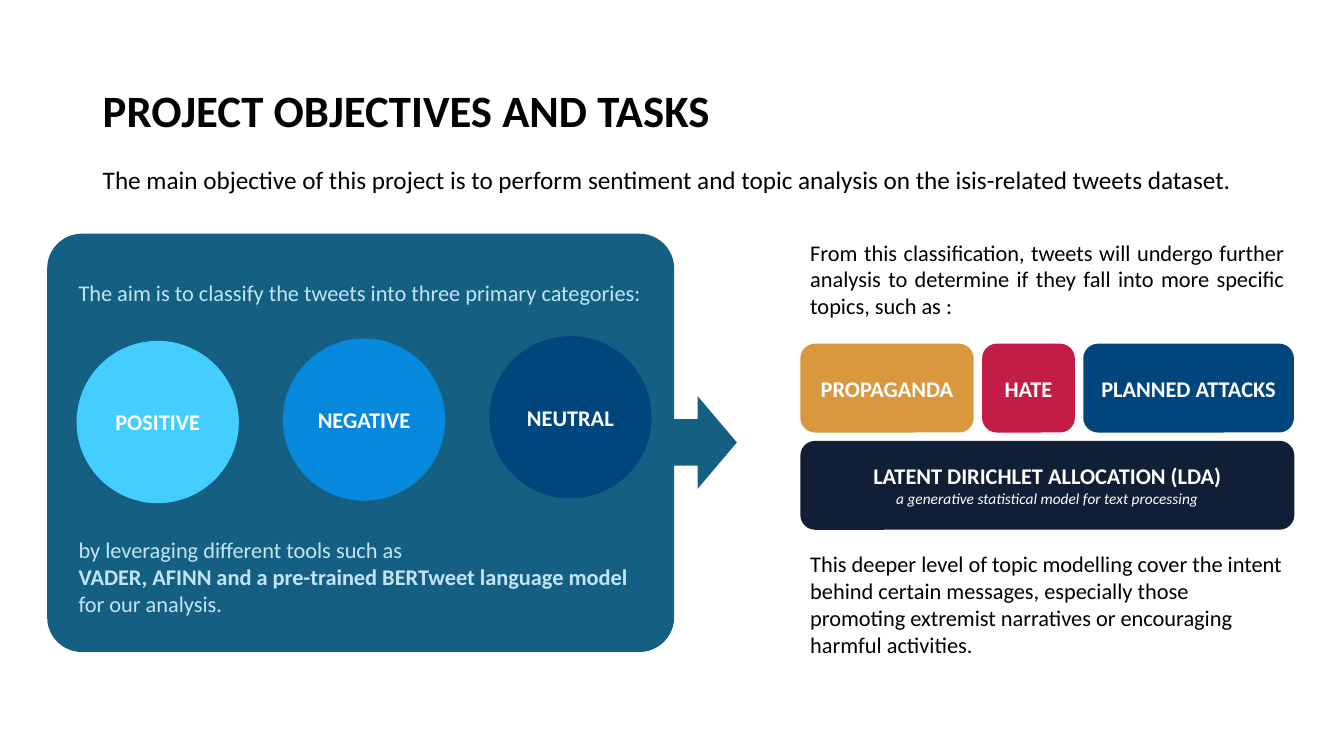
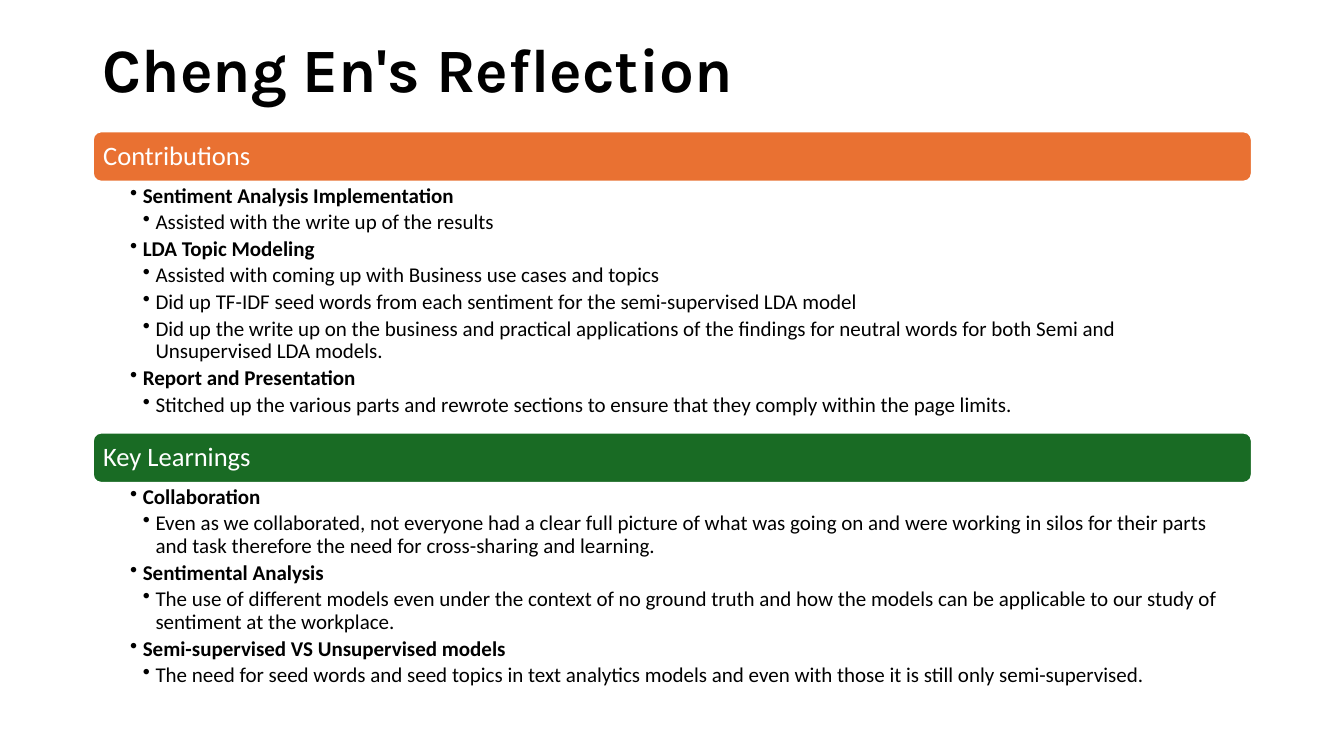
from lxml.etree import SubElement
from pptx import Presentation
from pptx.dml.color import RGBColor
from pptx.enum.shapes import MSO_SHAPE
from pptx.enum.text import MSO_ANCHOR, PP_ALIGN
from pptx.oxml.ns import qn
from pptx.util import Cm, Pt

COLORS = {
    "black": "000000",
    "white": "FFFFFF",
    "teal": "156082",
    "pale_blue": "C1E5F5",
    "sky": "44CEFF",
    "blue": "0688DC",
    "navy": "00467D",
    "ochre": "D9983E",
    "crimson": "C31C47",
    "midnight": "101F36",
    "orange": "E97132",
    "green": "196B24",
}
BODY_FONT = "Calibri"
MARGIN = 2.34
CONTENT_WIDTH = 29.21
BULLET_INDENT = 0.32
BAND_HEIGHT = 1.27

CATEGORIES = [("POSITIVE", "sky"), ("NEGATIVE", "blue"), ("NEUTRAL", "navy")]
TOPICS = [
    ("PROPAGANDA", "ochre", 4.37),
    ("HATE", "crimson", 2.34),
    ("PLANNED ATTACKS", "navy", 5.31),
]
CONTRIBUTIONS = [
    ("Sentiment Analysis Implementation", ["Assisted with the write up of the results"]),
    ("LDA Topic Modeling", [
        "Assisted with coming up with Business use cases and topics",
        "Did up TF-IDF seed words from each sentiment for the semi-supervised LDA model",
        "Did up the write up on the business and practical applications of the findings "
        "for neutral words for both Semi and Unsupervised LDA models.",
    ]),
    ("Report and Presentation", [
        "Stitched up the various parts and rewrote sections to ensure that they comply "
        "within the page limits.",
    ]),
]
LEARNINGS = [
    ("Collaboration", [
        "Even as we collaborated, not everyone had a clear full picture of what was going "
        "on and were working in silos for their parts and task therefore the need for "
        "cross-sharing and learning.",
    ]),
    ("Sentimental Analysis", [
        "The use of different models even under the context of no ground truth and how "
        "the models can be applicable to our study of sentiment at the workplace.",
    ]),
    ("Semi-supervised VS Unsupervised models", [
        "The need for seed words and seed topics in text analytics models and even with "
        "those it is still only semi-supervised.",
    ]),
]


def rgb(name):
    return RGBColor.from_string(COLORS[name])


def set_bullet(para, level):
    para.level = level
    properties = para._p.get_or_add_pPr()
    properties.set("marL", str(int(Cm(BULLET_INDENT * level))))
    properties.set("indent", str(-int(Cm(BULLET_INDENT))))
    SubElement(properties, qn("a:buChar"), char="•")


def add_text(box, text, *, size=16, color="black", font=BODY_FONT, bold=False,
             italic=False, align=PP_ALIGN.LEFT, line_spacing=None, after=0,
             level=0, same_para=False):
    """Add a paragraph, or with same_para a new line of the last paragraph."""
    frame = box.text_frame
    para = frame.paragraphs[-1]
    if same_para:
        para.add_line_break()
    else:
        if para.runs:
            para = frame.add_paragraph()
        if level:
            set_bullet(para, level)
        para.alignment = align
        para.line_spacing = line_spacing
        para.space_after = Pt(after)
    span = para.add_run()
    span.text = text
    span.font.name = font
    span.font.size = Pt(size)
    span.font.bold = bold
    span.font.italic = italic
    span.font.color.rgb = rgb(color)


def add_box(page, left, top, width, height, *, wrap=True, anchor=MSO_ANCHOR.TOP):
    box = page.shapes.add_textbox(Cm(left), Cm(top), Cm(width), Cm(height))
    box.text_frame.word_wrap = wrap
    box.text_frame.vertical_anchor = anchor
    return box


def add_filled(page, kind, left, top, width, height, fill):
    shape = page.shapes.add_shape(kind, Cm(left), Cm(top), Cm(width), Cm(height))
    shape.shadow.inherit = False
    shape.fill.solid()
    shape.fill.fore_color.rgb = rgb(fill)
    shape.line.fill.background()
    shape.text_frame.vertical_anchor = MSO_ANCHOR.MIDDLE
    return shape


def add_label(page, kind, text, left, top, width, height, fill):
    """Add a filled shape with a bold white label in its middle."""
    shape = add_filled(page, kind, left, top, width, height, fill)
    add_text(shape, text, color="white", bold=True, align=PP_ALIGN.CENTER)
    return shape


def add_title(page, text, top, **text_format):
    box = add_box(page, MARGIN, top, CONTENT_WIDTH, 3.68, anchor=MSO_ANCHOR.MIDDLE)
    add_text(box, text, bold=True, line_spacing=0.9, **text_format)


def add_classification_panel(page):
    panel = add_filled(page, MSO_SHAPE.ROUNDED_RECTANGLE, 1.19, 5.89, 15.8, 10.54, "teal")
    panel.adjustments[0] = 0.083
    add_filled(page, MSO_SHAPE.RIGHT_ARROW, 16.59, 9.98, 1.98, 2.34, "teal")

    aim = add_box(page, 1.73, 6.91, 14.86, 0.94, wrap=False)
    add_text(aim, "The aim is to classify the tweets into three primary categories:",
             color="pale_blue")
    diameter = 4.09
    for index, (name, fill) in enumerate(CATEGORIES):
        add_label(page, MSO_SHAPE.OVAL, name, 1.93 + 5.2 * index, 8.59 - 0.06 * index,
                  diameter, diameter, fill)

    tools = add_box(page, 1.73, 13.39, 14.63, 2.31)
    add_text(tools, "by leveraging different tools such as", color="pale_blue")
    add_text(tools, "VADER, AFINN and a pre-trained BERTweet language model",
             color="pale_blue", bold=True)
    add_text(tools, "for our analysis.", color="pale_blue")


def add_topic_column(page):
    left, width = 20.17, 12.45
    top, height, gap = 8.66, 2.24, 0.21
    intro = add_box(page, left, 5.89, width, 2.31)
    add_text(intro, "From this classification, tweets will undergo further analysis to "
             "determine if they fall into more specific topics, such as :",
             align=PP_ALIGN.JUSTIFY)

    topic_left = left
    for name, fill, topic_width in TOPICS:
        add_label(page, MSO_SHAPE.ROUNDED_RECTANGLE, name, topic_left, top,
                  topic_width, height, fill)
        topic_left += topic_width + gap
    model = add_label(page, MSO_SHAPE.ROUNDED_RECTANGLE, "LATENT DIRICHLET ALLOCATION (LDA)",
                      left, top + height + gap, width, height, "midnight")
    add_text(model, "a generative statistical model for text processing", size=11,
             color="white", italic=True, same_para=True)

    outcome = add_box(page, left, 13.74, width, 3)
    add_text(outcome, "This deeper level of topic modelling cover the intent behind certain "
             "messages, especially those promoting extremist narratives or encouraging "
             "harmful activities.")


def add_section(page, heading, fill, topics, top, list_height):
    """Add a heading band with its two-level list and return the bottom edge."""
    band = add_filled(page, MSO_SHAPE.ROUNDED_RECTANGLE, MARGIN, top, CONTENT_WIDTH,
                      BAND_HEIGHT, fill)
    band.line.color.rgb = rgb("white")
    band.line.width = Pt(1.5)
    band.text_frame.margin_left = Cm(0.2)
    add_text(band, heading, size=19, color="white", line_spacing=0.9)

    box = add_box(page, MARGIN, top + BAND_HEIGHT, CONTENT_WIDTH, list_height)
    frame = box.text_frame
    frame.margin_left, frame.margin_right = Cm(0.94), Cm(0.38)
    frame.margin_top = frame.margin_bottom = Cm(0.08)
    item_format = {"size": 15, "line_spacing": 0.9, "after": 2.8}
    for topic, points in topics:
        add_text(box, topic, bold=True, level=1, **item_format)
        for point in points:
            add_text(box, point, level=2, **item_format)
    return top + BAND_HEIGHT + list_height


def build_objectives(page):
    add_title(page, "PROJECT OBJECTIVES AND TASKS", 1.02, size=32)
    objective = add_box(page, MARGIN, 4.01, 29.74, 1.02)
    add_text(objective, "The main objective of this project is to perform sentiment and "
             "topic analysis on the isis-related tweets dataset.",
             size=18, align=PP_ALIGN.JUSTIFY)
    add_classification_panel(page)
    add_topic_column(page)


def build_reflection(page):
    add_title(page, "Cheng En's Reflection", 0, size=44, font="Karla")
    bottom = add_section(page, "Contributions", "orange", CONTRIBUTIONS, 3.31, 6.32)
    add_section(page, "Key Learnings", "green", LEARNINGS, bottom, 5.46)


def main():
    deck = Presentation()
    deck.slide_width, deck.slide_height = Cm(33.87), Cm(19.05)
    blank = deck.slide_layouts[6]
    for build in (build_objectives, build_reflection):
        build(deck.slides.add_slide(blank))
    deck.save("out.pptx")


if __name__ == "__main__":
    main()
